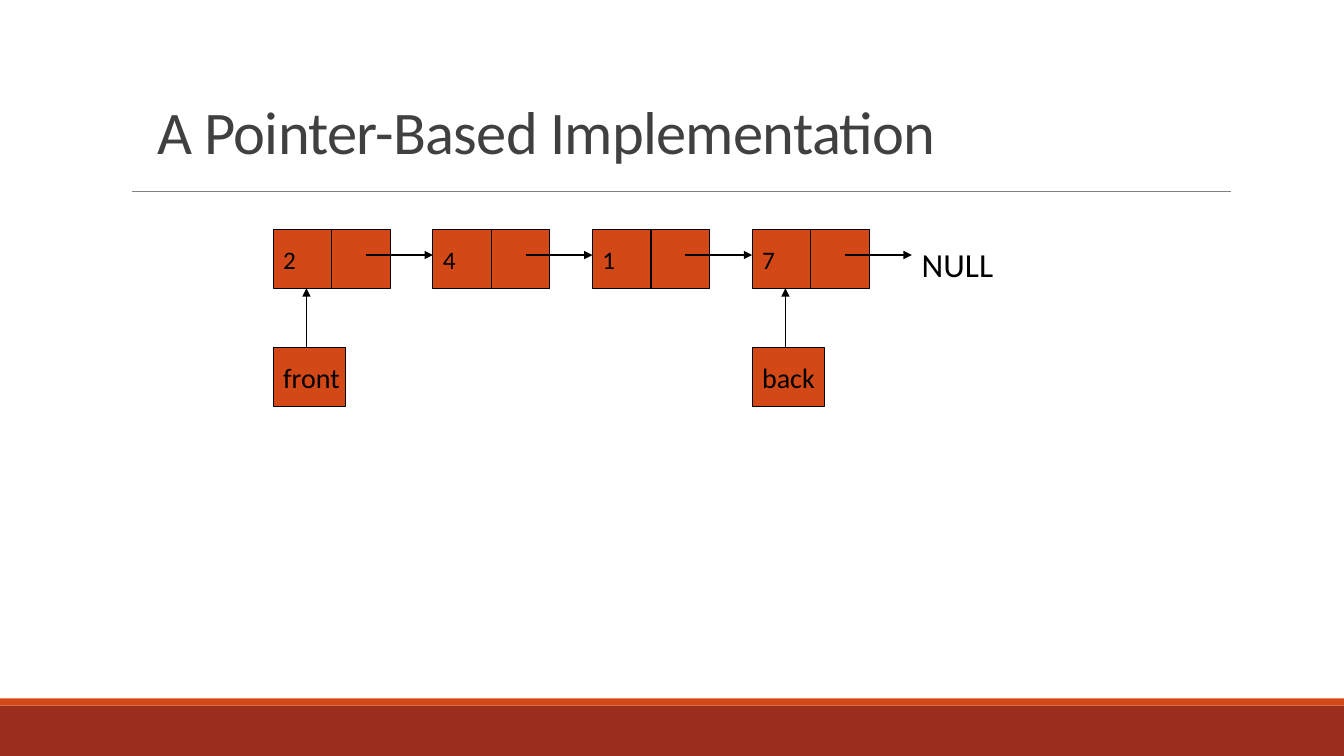
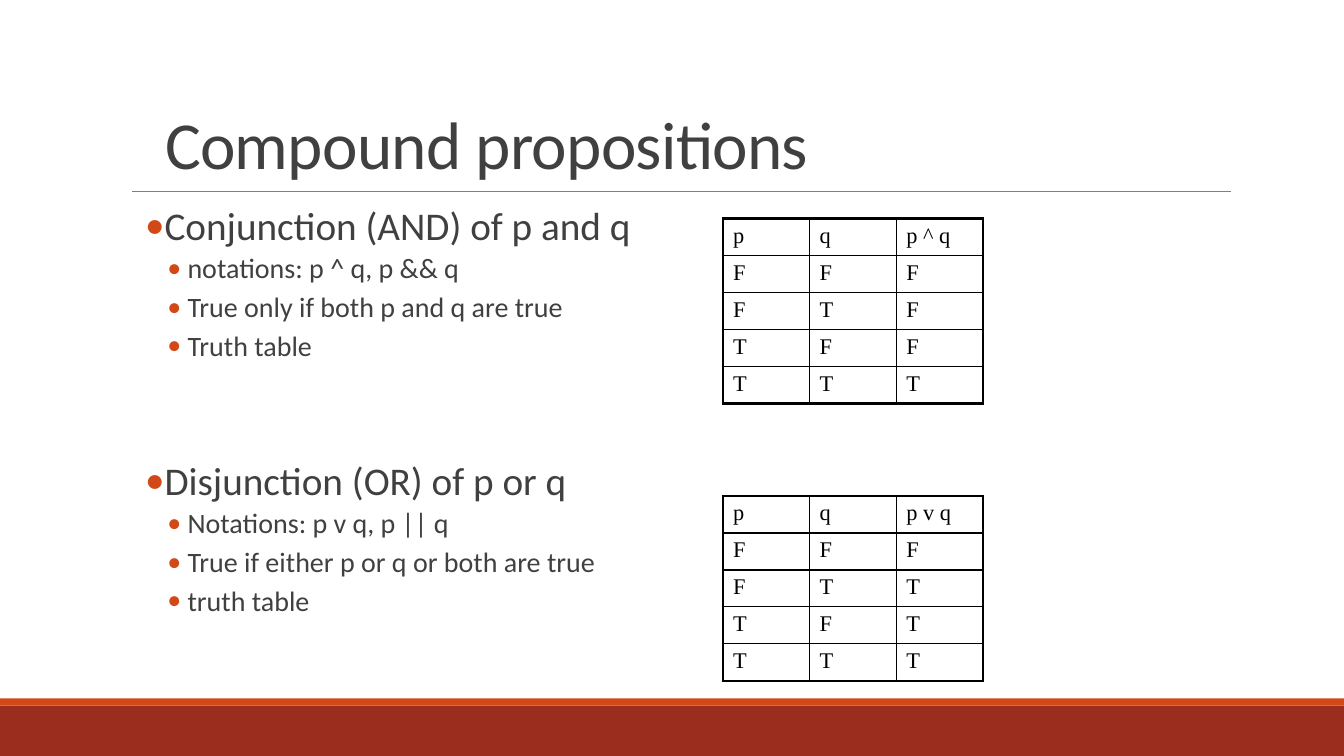
"""Build two lecture slides: a linked queue and compound propositions."""
from dataclasses import dataclass

from lxml.etree import SubElement
from pptx import Presentation
from pptx.dml.color import RGBColor
from pptx.enum.shapes import MSO_CONNECTOR, MSO_SHAPE
from pptx.enum.text import MSO_ANCHOR, PP_ALIGN
from pptx.oxml.ns import qn
from pptx.util import Inches, Pt


@dataclass(frozen=True)
class Theme:
    """Colours, fonts and type sizes."""
    band: str = "9B2D1F"
    accent: str = "D34817"
    rule: str = "808080"
    ink: str = "404040"
    black: str = "000000"
    font: str = "Calibri"
    serif: str = "Times New Roman"
    head: int = 28
    point: int = 20
    label: int = 20
    digit: int = 18
    null: int = 24
    cell: int = 16
    thin: float = 0.75
    grid: float = 1
    edge: float = 2.25


class Deck:
    """Holds the theme and the current slide."""

    def __init__(self, theme):
        """Open an empty wide deck."""
        self.theme = theme
        self.show = Presentation()
        self.show.slide_width = Inches(13.33)
        self.show.slide_height = Inches(7.5)
        self.slide = None

    def page(self, title, left, top, size):
        """Start a slide with its bands, rule and title."""
        theme = self.theme
        self.slide = self.show.slides.add_slide(self.show.slide_layouts[6])
        self.box(0, 7, 13.33, 0.5, theme.band)
        self.box(0, 6.93, 13.33, 0.07, theme.accent)
        self.line((1.31, 1.9), (12.21, 1.9), theme.rule, 0.5)
        frame = self.text(left, top, 8.5, 1.25, title, size, theme.ink)
        frame.vertical_anchor = MSO_ANCHOR.BOTTOM
        para = frame.paragraphs[0]
        para.line_spacing = 0.85
        para.runs[0].font._element.set("spc", "-50")

    def style(self, para, size, color, font=None):
        """Format every run of a paragraph."""
        for run in para.runs:
            run.font.size = Pt(size)
            run.font.name = font or self.theme.font
            run.font.color.rgb = RGBColor.from_string(color)

    def text(self, left, top, width, height, words, size, color):
        """Add a text box and return its frame."""
        shape = self.slide.shapes.add_textbox(
            Inches(left), Inches(top), Inches(width), Inches(height))
        frame = shape.text_frame
        frame.word_wrap = True
        frame.text = words
        self.style(frame.paragraphs[0], size, color)
        return frame

    def box(self, left, top, width, height, fill, edge=None, words="", size=18):
        """Add a filled box with an optional outline and label."""
        shape = self.slide.shapes.add_shape(
            MSO_SHAPE.RECTANGLE, Inches(left), Inches(top),
            Inches(width), Inches(height))
        shape.shadow.inherit = False
        shape.fill.solid()
        shape.fill.fore_color.rgb = RGBColor.from_string(fill)
        if edge:
            shape.line.color.rgb = RGBColor.from_string(edge)
            shape.line.width = Pt(self.theme.thin)
        else:
            shape.line.fill.background()
        if words:
            frame = shape.text_frame
            frame.margin_right = 0
            frame.vertical_anchor = MSO_ANCHOR.MIDDLE
            frame.text = words
            frame.paragraphs[0].alignment = PP_ALIGN.LEFT
            self.style(frame.paragraphs[0], size, self.theme.black)

    def line(self, start, end, color, width, arrow=False):
        """Add a straight line, with an arrowhead if asked."""
        link = self.slide.shapes.add_connector(
            MSO_CONNECTOR.STRAIGHT, *map(Inches, start + end))
        link.line.color.rgb = RGBColor.from_string(color)
        link.line.width = Pt(width)
        props = link._element.spPr
        if arrow:
            SubElement(props.find(qn("a:ln")), qn("a:tailEnd"), type="triangle")
        SubElement(props, qn("a:effectLst"))

    def arrow(self, start, end):
        """Add a pointer arrow."""
        self.line(start, end, self.theme.black, self.theme.thin, True)

    def node(self, left, top, side, words):
        """Add a list node with a value cell and a pointer cell."""
        theme = self.theme
        for shift, label in ((0, words), (side, "")):
            self.box(left + shift, top, side, side, theme.accent,
                     theme.black, label, theme.digit)

    def points(self, left, top, head, items):
        """Add a bulleted heading with its points."""
        theme = self.theme
        frame = self.text(left, top, 5.6, 2, head, theme.head, theme.ink)
        frame.margin_left = frame.margin_right = 0
        self.bullet(frame.paragraphs[0], 0.1, 0.1, 0, 2)
        for item in items:
            para = frame.add_paragraph()
            para.text = item
            para.level = 1
            self.style(para, theme.point, theme.ink)
            self.bullet(para, 0.42, 0.2, 2, 4)

    def bullet(self, para, indent, hang, above, below):
        """Give a paragraph its bullet, indent and spacing."""
        para.line_spacing = 0.9
        para.space_before = Pt(above)
        para.space_after = Pt(below)
        props = para._p.get_or_add_pPr()
        props.set("marL", str(Inches(indent)))
        props.set("indent", str(-Inches(hang)))
        color = SubElement(props, qn("a:buClr"))
        SubElement(color, qn("a:srgbClr"), val=self.theme.accent)
        SubElement(props, qn("a:buFont"), typeface=self.theme.font)
        SubElement(props, qn("a:buChar"), char="•")

    def table(self, left, top, wide, high, rows):
        """Add a truth table with a heavy outer edge."""
        theme = self.theme
        count, span = len(rows), len(rows[0])
        grid = self.slide.shapes.add_table(
            count, span, Inches(left), Inches(top),
            Inches(wide * span), Inches(high * count)).table
        grid.first_row = grid.horz_banding = False
        for r, row in enumerate(rows):
            for c, words in enumerate(row):
                cell = grid.cell(r, c)
                cell.text = words
                self.style(cell.text_frame.paragraphs[0], theme.cell,
                           theme.black, theme.serif)
                outer = {"L": c == 0, "R": c == span - 1,
                         "T": r == 0, "B": r == count - 1}
                self.frame(cell, outer)
                cell.fill.background()

    def frame(self, cell, outer):
        """Draw the four borders of a cell."""
        theme = self.theme
        props = cell._tc.get_or_add_tcPr()
        for side, heavy in outer.items():
            width = Pt(theme.edge if heavy else theme.grid)
            line = SubElement(props, qn("a:ln" + side), w=str(width))
            fill = SubElement(line, qn("a:solidFill"))
            SubElement(fill, qn("a:srgbClr"), val=theme.black)


def queue(deck):
    """Draw the linked queue."""
    theme = deck.theme
    left, top, side, step = 2.71, 2.28, 0.58, 4.75 / 3
    deck.page("A Pointer-Based Implementation", 1.46, 0.45, 43.2)
    values = "2417"
    for i, value in enumerate(values):
        x = left + i * step
        deck.node(x, top, side, value)
        deck.arrow((x + 0.92, 2.53), (x + step, 2.53))
    for i, name in ((0, "front"), (len(values) - 1, "back")):
        x = left + i * step
        deck.box(x, 3.45, 0.72, side, theme.accent, theme.black,
                 name, theme.label)
        deck.arrow((x + 0.33, 3.45), (x + 0.33, top + side))
    deck.text(left + len(values) * step, 2.37, 0.92, 0.5, "NULL",
              theme.null, theme.black)


def logic(deck):
    """Draw the two propositions with their truth tables."""
    deck.page("Compound propositions", 1.54, 0.62, 48)
    parts = (
        (2, 2.17, "Conjunction (AND) of p and q",
         ("notations: p ^ q, p && q", "True only if both p and q are true",
          "Truth table"), "p ^ q", "FFFT"),
        (4.53, 4.92, "Disjunction (OR) of p or q",
         ("Notations: p v q, p || q", "True if either p or q or both are true",
          "truth table"), "p v q", "FTTT"),
    )
    pairs = ("FF", "FT", "TF", "TT")
    for top, grid, head, items, sign, truth in parts:
        deck.points(1.44, top, head, items)
        rows = [("p", "q", sign)]
        rows += [(*pair, last) for pair, last in zip(pairs, truth)]
        deck.table(7.17, grid, 0.86, 0.35, rows)


def main():
    """Build and save the deck."""
    deck = Deck(Theme())
    queue(deck)
    logic(deck)
    deck.show.save("out.pptx")


if __name__ == "__main__":
    main()
